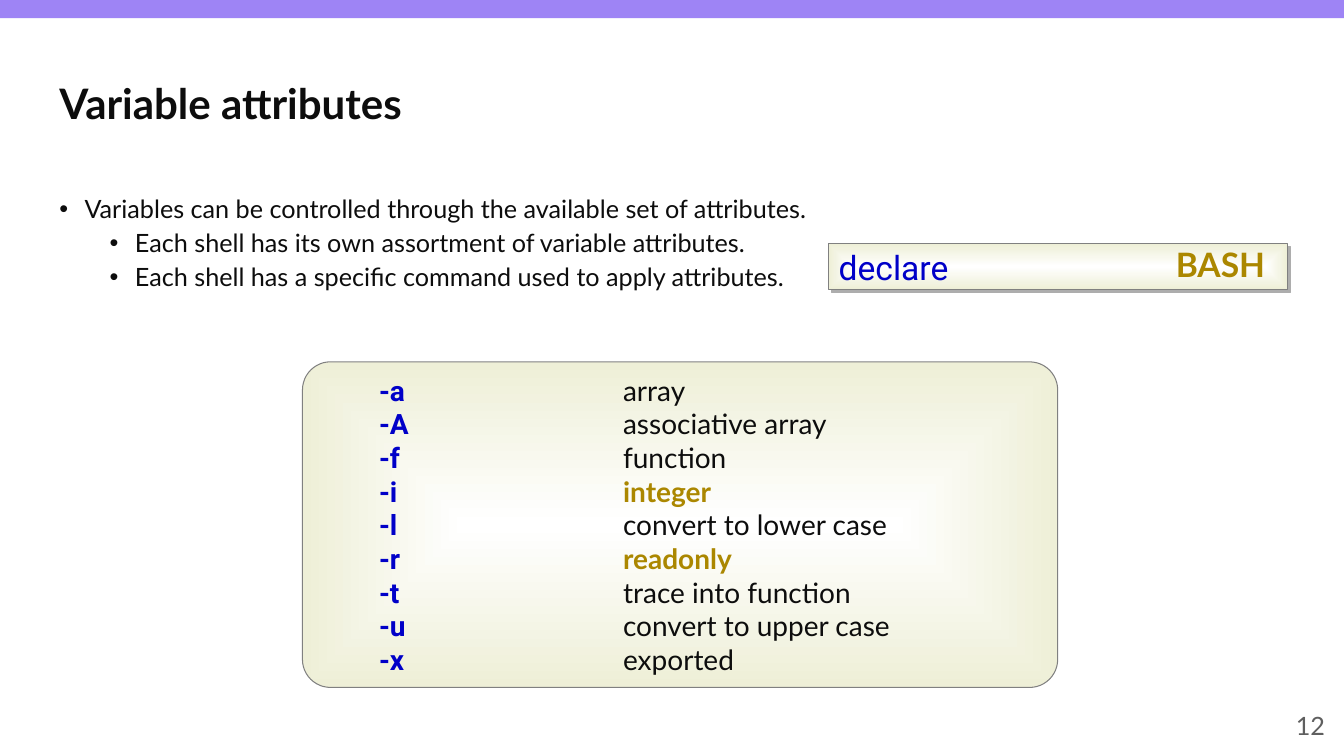
from dataclasses import dataclass
from typing import Any

from pptx import Presentation
from pptx.dml.color import RGBColor
from pptx.enum.shapes import MSO_SHAPE as Preset
from pptx.enum.text import MSO_ANCHOR as Anchor, PP_ALIGN as Align
from pptx.oxml import parse_xml
from pptx.oxml.ns import nsdecls, qn
from pptx.util import Inches, Pt


@dataclass(frozen=True)
class Theme:
    accent: str = "9E84F5"
    ink: str = "0D0D0D"
    code: str = "0000C8"
    gold: str = "AB8700"
    gray: str = "5F5F5F"
    center: str = "FFFFFF"
    rim: str = "EEEFD7"
    outline: str = "808080"
    shadow: str = "ADADAD"
    text_font: str = "Lato"
    code_font: str = "Roboto"
    title_size: int = 30
    shell_size: int = 24
    option_size: int = 20
    body_size: int = 18


@dataclass(frozen=True)
class Area:
    left: float
    top: float
    width: float
    height: float

    def lengths(self) -> list[int]:
        return [Inches(n) for n in (self.left, self.top, self.width, self.height)]


@dataclass(frozen=True)
class Style:
    size: int
    color: str
    name: str = "Lato"
    bold: bool = False


@dataclass(frozen=True)
class Bullet:
    text: str
    margin: float = 0.75
    before: int = 5


@dataclass(frozen=True)
class Option:
    flag: str
    meaning: str
    key: bool = False


THEME = Theme()
BULLETS = [
    Bullet("Variables can be controlled through the available set of attributes.", 0.25, 0),
    Bullet("Each shell has its own assortment of variable attributes."),
    Bullet("Each shell has a specific command used to apply attributes."),
]
OPTIONS = [
    Option("-a", "array"),
    Option("-A", "associative array"),
    Option("-f", "function"),
    Option("-i", "integer", True),
    Option("-l", "convert to lower case"),
    Option("-r", "readonly", True),
    Option("-t", "trace into function"),
    Option("-u", "convert to upper case"),
    Option("-x", "exported"),
]
OPTION_TABS = (0.58, 3)


def add_span(para: Any, text: str, style: Style) -> None:
    span = para.add_run()
    span.text = text
    formats = {"size": Pt(style.size), "name": style.name, "bold": style.bold}
    for key, value in formats.items():
        setattr(span.font, key, value)
    span.font.color.rgb = RGBColor.from_string(style.color)


def set_frame(shape: Any, anchor: Any) -> Any:
    frame = shape.text_frame
    for key, value in {"word_wrap": True, "vertical_anchor": anchor}.items():
        setattr(frame, key, value)
    return frame


def add_label(page: Any, area: Area, text: str, style: Style,
              align: Any = Align.LEFT, anchor: Any = Anchor.MIDDLE) -> None:
    box = page.shapes.add_textbox(*area.lengths())
    para = set_frame(box, anchor).paragraphs[0]
    para.alignment = align
    add_span(para, text, style)


def add_panel(page: Any, preset: Any, area: Area) -> Any:
    """Add an outlined panel whose fill fades from the center to the rim."""
    panel = page.shapes.add_shape(preset, *area.lengths())
    panel.shadow.inherit = False
    panel.fill.gradient()
    for stop, color in zip(panel.fill.gradient_stops, (THEME.center, THEME.rim)):
        stop.color.rgb = RGBColor.from_string(color)
    gradient = panel._element.spPr.find(qn("a:gradFill"))
    gradient.replace(gradient.find(qn("a:lin")), parse_xml(
        f'<a:path {nsdecls("a")} path="shape">'
        '<a:fillToRect l="50000" t="50000" r="50000" b="50000"/></a:path>'))
    panel.line.color.rgb = RGBColor.from_string(THEME.outline)
    panel.line.width = Pt(0.75)
    return panel


def add_shadow(panel: Any) -> None:
    panel._element.spPr.find(qn("a:effectLst")).append(parse_xml(
        f'<a:outerShdw {nsdecls("a")} dist="{Pt(2.8)}" dir="2700000" algn="ctr" '
        f'rotWithShape="0"><a:srgbClr val="{THEME.shadow}"/></a:outerShdw>'))


def add_bullets(page: Any, area: Area) -> None:
    frame = set_frame(page.shapes.add_textbox(*area.lengths()), Anchor.TOP)
    for index, bullet in enumerate(BULLETS):
        para = frame.add_paragraph() if index else frame.paragraphs[0]
        para.line_spacing = 0.9
        para.space_before = Pt(bullet.before)
        props = para._p.get_or_add_pPr()
        props.set("marL", str(Inches(bullet.margin)))
        props.set("indent", str(Inches(-0.25)))
        props.append(parse_xml(f'<a:buFont {nsdecls("a")} typeface="Arial"/>'))
        props.append(parse_xml(f'<a:buChar {nsdecls("a")} char="•"/>'))
        add_span(para, bullet.text, Style(THEME.body_size, THEME.ink))


def add_options(page: Any, area: Area) -> None:
    panel = add_panel(page, Preset.ROUNDED_RECTANGLE, area)
    panel.adjustments[0] = 0.086
    frame = set_frame(panel, Anchor.MIDDLE)
    stops = "".join(f'<a:tab pos="{Inches(tab)}" algn="l"/>' for tab in OPTION_TABS)
    flag_style = Style(THEME.option_size, THEME.code, THEME.code_font, True)
    for index, option in enumerate(OPTIONS):
        para = frame.add_paragraph() if index else frame.paragraphs[0]
        para.alignment = Align.LEFT
        para._p.get_or_add_pPr().append(
            parse_xml(f'<a:tabLst {nsdecls("a")}>{stops}</a:tabLst>'))
        color = THEME.gold if option.key else THEME.ink
        add_span(para, f"\t{option.flag}\t", flag_style)
        add_span(para, option.meaning,
                 Style(THEME.option_size, color, THEME.text_font, option.key))


def add_command(page: Any, area: Area) -> None:
    panel = add_panel(page, Preset.RECTANGLE, area)
    add_shadow(panel)
    para = set_frame(panel, Anchor.MIDDLE).paragraphs[0]
    para.alignment = Align.LEFT
    add_span(para, "declare", Style(THEME.shell_size, THEME.code, THEME.code_font))


def main() -> None:
    deck = Presentation()
    deck.slide_width, deck.slide_height = Inches(13.33), Inches(7.5)
    page = deck.slides.add_slide(deck.slide_layouts[6])

    # Top band
    band = page.shapes.add_shape(Preset.RECTANGLE, *Area(0, 0, 13.33, 0.18).lengths())
    band.shadow.inherit = False
    band.fill.solid()
    band.fill.fore_color.rgb = RGBColor.from_string(THEME.accent)
    band.line.fill.background()

    # Title, bullets and page number
    add_label(page, Area(0.49, 0.55, 12.36, 0.94), "Variable attributes",
              Style(THEME.title_size, THEME.ink, bold=True))
    add_bullets(page, Area(0.49, 1.9, 12.36, 4.76))
    add_label(page, Area(10.24, 7, 3, 0.4), "12",
              Style(THEME.body_size, THEME.gray), Align.RIGHT)

    # Option list
    add_options(page, Area(3, 3.59, 7.49, 3.23))

    # Shell command
    add_command(page, Area(8.22, 2.42, 4.55, 0.45))
    add_label(page, Area(11.51, 2.37, 1.19, 0.5), "BASH",
              Style(THEME.shell_size, THEME.gold, bold=True), Align.CENTER, Anchor.TOP)

    deck.save("out.pptx")


if __name__ == "__main__":
    main()
